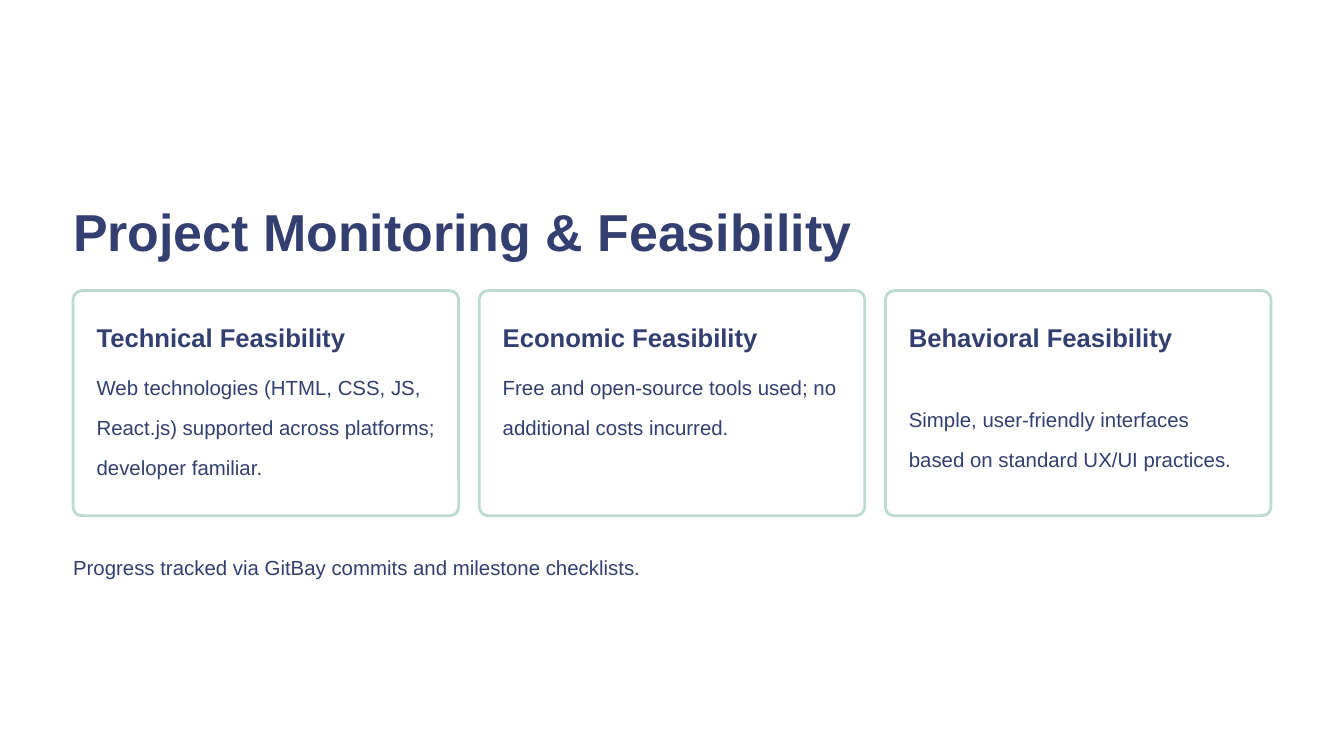
from dataclasses import dataclass

from pptx import Presentation
from pptx.dml.color import RGBColor
from pptx.enum.shapes import MSO_SHAPE
from pptx.enum.text import MSO_ANCHOR, MSO_AUTO_SIZE, PP_ALIGN
from pptx.util import Inches, Pt

ROUND = MSO_SHAPE.ROUNDED_RECTANGLE
TOP = MSO_ANCHOR.TOP
NO_FIT = MSO_AUTO_SIZE.NONE
LEFT = PP_ALIGN.LEFT
TITLE_ONLY = 5


@dataclass(frozen=True)
class Theme:
    font: str = "Arial"
    ink: RGBColor = RGBColor(0x33, 0x3F, 0x70)
    edge: RGBColor = RGBColor(0xBC, 0xDB, 0xD4)
    paper: RGBColor = RGBColor(0xFF, 0xFF, 0xFF)
    title: float = 44.5
    head: float = 22
    body: float = 17.5
    tight: float = 1.25
    loose: float = 1.63


THEME = Theme()

# Page grid, in inches
MARGIN, WIDTH = 0.87, 14.26
CARD_TOP, CARD_W, CARD_H = 3.46, 4.59, 2.68
PAD, TEXT_W = 0.28, 4.03

# Heading, heading height, body text, body top
CARDS = [
    ("Technical Feasibility", 0.39,
     "Web technologies (HTML, CSS, JS, React.js) supported across "
     "platforms; developer familiar.", 4.28),
    ("Economic Feasibility", 0.39,
     "Free and open-source tools used; no additional costs incurred.", 4.28),
    ("Behavioral Feasibility", 0.78,
     "Simple, user-friendly interfaces based on standard UX/UI practices.",
     4.66),
]


def put(obj, values):
    for name, value in values.items():
        setattr(obj, name, value)


def write(shape, text, size, bold, space):
    frame = shape.text_frame
    put(frame, dict(margin_left=0, margin_right=0, margin_top=0,
                    margin_bottom=0, word_wrap=True, auto_size=NO_FIT,
                    vertical_anchor=TOP))
    para = frame.paragraphs[0]
    put(para, dict(text=text, alignment=LEFT, line_spacing=space))
    font = para.runs[0].font
    put(font, dict(name=THEME.font, size=Pt(size), bold=bold))
    font.color.rgb = THEME.ink


def add_title(slide, text):
    title = slide.shapes.title
    put(title, dict(left=Inches(MARGIN), top=Inches(2.19),
                    width=Inches(12.2), height=Inches(0.78)))
    write(title, text, THEME.title, True, THEME.tight)


def add_text(slide, box, text, size, bold, space):
    shape = slide.shapes.add_textbox(*map(Inches, box))
    write(shape, text, size, bold, space)


def add_card(slide, left, head, head_h, body, body_top):
    card = slide.shapes.add_shape(
        ROUND, *map(Inches, (left, CARD_TOP, CARD_W, CARD_H)))
    card.adjustments[0] = 0.039
    card.shadow.inherit = False
    card.fill.background()
    card.line.color.rgb = THEME.edge
    card.line.width = Pt(2.4)
    inner = left + PAD
    add_text(slide, (inner, CARD_TOP + PAD, TEXT_W, head_h),
             head, THEME.head, True, THEME.tight)
    add_text(slide, (inner, body_top, TEXT_W, 1.19),
             body, THEME.body, False, THEME.loose)


def main():
    deck = Presentation()
    put(deck, dict(slide_width=Inches(16), slide_height=Inches(9)))
    slide = deck.slides.add_slide(deck.slide_layouts[TITLE_ONLY])
    fill = slide.background.fill
    fill.solid()
    fill.fore_color.rgb = THEME.paper

    add_title(slide, "Project Monitoring & Feasibility")

    # Cards spread evenly across the content width
    step = (WIDTH - CARD_W) / (len(CARDS) - 1)
    for i, card in enumerate(CARDS):
        add_card(slide, MARGIN + i * step, *card)

    # Closing line
    add_text(slide, (MARGIN, 6.42, WIDTH, 0.4),
             "Progress tracked via GitBay commits and milestone checklists.",
             THEME.body, False, THEME.loose)

    deck.save("out.pptx")


if __name__ == "__main__":
    main()
